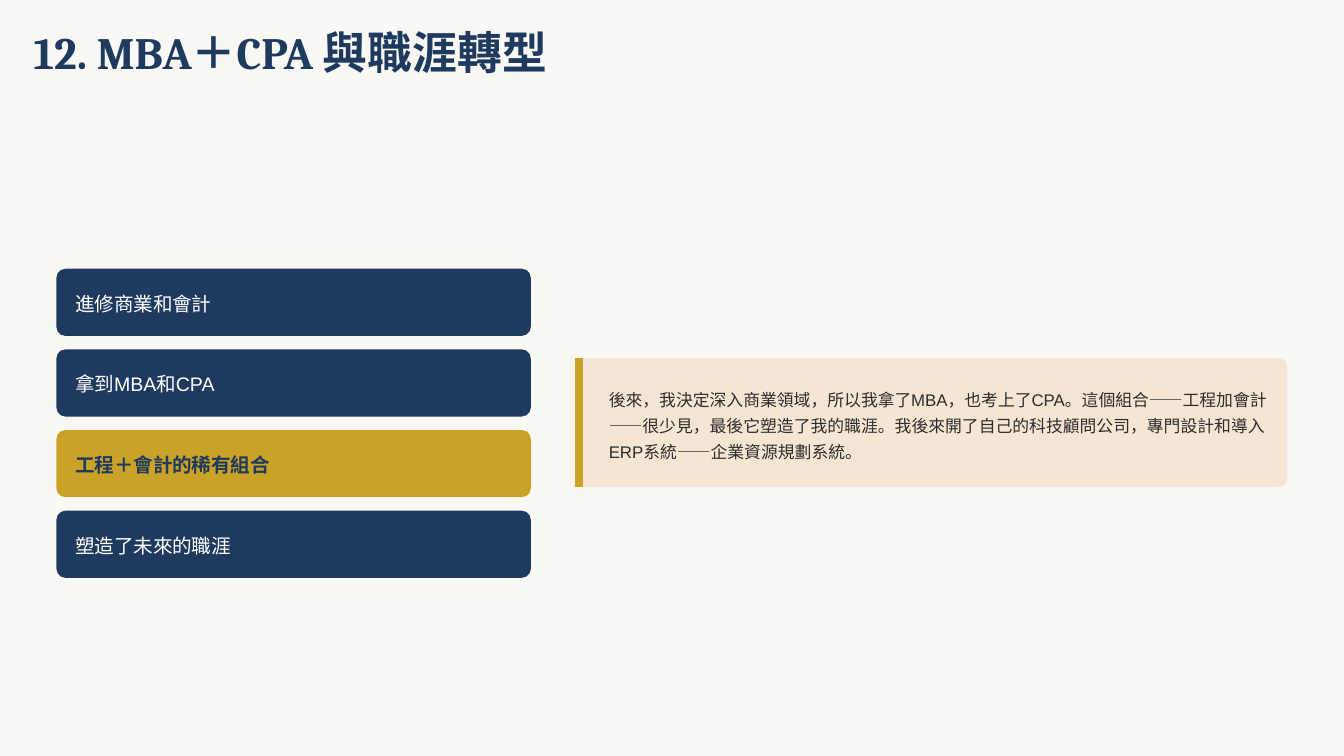
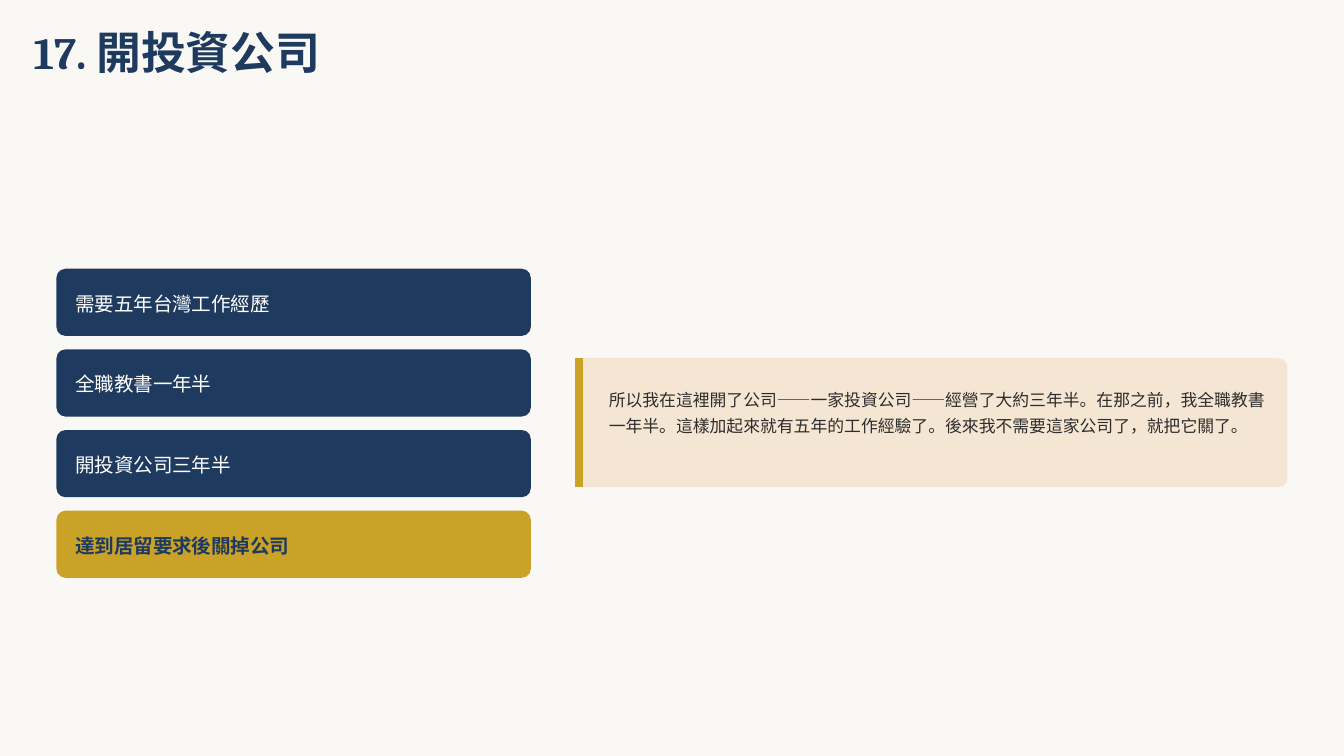
from dataclasses import dataclass

from lxml import etree
from pptx import Presentation
from pptx import util as u
from pptx.dml.color import RGBColor
from pptx.enum import shapes, text
from pptx.oxml import ns
from pptx.slide import Slide

# Scale: 200 px to the inch
EMU_PER_PX = 4572

# Palette
CREAM = RGBColor(0xFA, 0xF8, 0xF5)
NAVY = RGBColor(0x1E, 0x3A, 0x5F)
GOLD = RGBColor(0xC9, 0xA2, 0x27)
SAND = RGBColor(0xF5, 0xE6, 0xD3)
WHITE = RGBColor(0xFF, 0xFF, 0xFF)
INK = RGBColor(0x2D, 0x2D, 0x2D)


@dataclass(frozen=True)
class Box:
    left: int
    top: int
    width: int
    height: int

    def emu(self) -> tuple[u.Emu, ...]:
        return tuple(px(n) for n in (self.left, self.top, self.width, self.height))


@dataclass(frozen=True)
class TextStyle:
    font: str
    size: float
    leading: float
    color: RGBColor
    bold: bool = False


@dataclass(frozen=True)
class Topic:
    title: str
    steps: tuple[str, ...]
    key_step: int
    story: str


# Shared layout and text styles
TITLE_BOX = Box(50, 50, 972, 66)
FIRST_STEP = Box(84, 400, 706, 100)
STEP_PITCH = 120
STORY_PANEL = Box(856, 533, 1060, 192)
STORY_TEXT = Box(906, 572, 992, 116)
ACCENT_X = 862

TITLE = TextStyle("Cambria", 24, 24, NAVY, bold=True)
STEP = TextStyle("Arial", 10.5, 14.7, WHITE)
KEY_STEP = TextStyle("Arial", 10.5, 14.7, NAVY, bold=True)
STORY = TextStyle("Arial", 9, 13.9, INK)

TOPICS = (
    Topic(
        "12. MBA＋CPA 與職涯轉型",
        ("進修商業和會計", "拿到MBA和CPA", "工程＋會計的稀有組合", "塑造了未來的職涯"),
        2,
        "後來，我決定深入商業領域，所以我拿了MBA，也考上了CPA。"
        "這個組合——工程加會計——很少見，最後它塑造了我的職涯。"
        "我後來開了自己的科技顧問公司，專門設計和導入ERP系統——企業資源規劃系統。",
    ),
    Topic(
        "17. 開投資公司",
        ("需要五年台灣工作經歷", "全職教書一年半", "開投資公司三年半", "達到居留要求後關掉公司"),
        3,
        "所以我在這裡開了公司——一家投資公司——經營了大約三年半。"
        "在那之前，我全職教書一年半。這樣加起來就有五年的工作經驗了。"
        "後來我不需要這家公司了，就把它關了。",
    ),
)


def px(length: int) -> u.Emu:
    return u.Emu(length * EMU_PER_PX)


def add_text(slide: Slide, box: Box, words: str, style: TextStyle) -> None:
    frame = slide.shapes.add_textbox(*box.emu()).text_frame
    frame.margin_left = frame.margin_top = frame.margin_right = frame.margin_bottom = 0
    frame.word_wrap = True
    frame.vertical_anchor = text.MSO_ANCHOR.TOP
    frame.text = words
    paragraph = frame.paragraphs[0]
    paragraph.line_spacing = u.Pt(style.leading)
    font = paragraph.runs[0].font
    font.name = style.font
    font.size = u.Pt(style.size)
    font.bold = style.bold
    font.color.rgb = style.color


def add_card(slide: Slide, box: Box, fill: RGBColor, rounding: float) -> None:
    card = slide.shapes.add_shape(shapes.MSO_SHAPE.ROUNDED_RECTANGLE, *box.emu())
    card.adjustments[0] = rounding
    card.shadow.inherit = False
    card.fill.solid()
    card.fill.fore_color.rgb = fill
    card.line.fill.background()


def add_step(slide: Slide, row: int, words: str, is_key: bool) -> None:
    top = FIRST_STEP.top + row * STEP_PITCH
    card = Box(FIRST_STEP.left, top, FIRST_STEP.width, FIRST_STEP.height)
    add_card(slide, card, GOLD if is_key else NAVY, 0.134)
    label = Box(card.left + 28, top + 28, 662, 40)
    add_text(slide, label, words, KEY_STEP if is_key else STEP)


def add_story(slide: Slide, words: str) -> None:
    add_card(slide, STORY_PANEL, SAND, 0.07)
    top, bottom = STORY_PANEL.top, STORY_PANEL.top + STORY_PANEL.height
    accent = slide.shapes.add_connector(
        shapes.MSO_CONNECTOR.STRAIGHT, px(ACCENT_X), px(top), px(ACCENT_X), px(bottom)
    )
    accent.line.color.rgb = GOLD
    accent.line.width = u.Pt(4.5)
    etree.SubElement(accent._element.spPr, ns.qn("a:effectLst"))
    add_text(slide, STORY_TEXT, words, STORY)


def add_topic(deck, topic: Topic) -> None:
    slide = deck.slides.add_slide(deck.slide_layouts[6])
    slide.background.fill.solid()
    slide.background.fill.fore_color.rgb = CREAM
    add_text(slide, TITLE_BOX, topic.title, TITLE)
    for row, words in enumerate(topic.steps):
        add_step(slide, row, words, row == topic.key_step)
    add_story(slide, topic.story)


def main() -> None:
    deck = Presentation()
    deck.slide_width, deck.slide_height = px(2000), px(1125)
    for topic in TOPICS:
        add_topic(deck, topic)
    deck.save("out.pptx")


if __name__ == "__main__":
    main()
